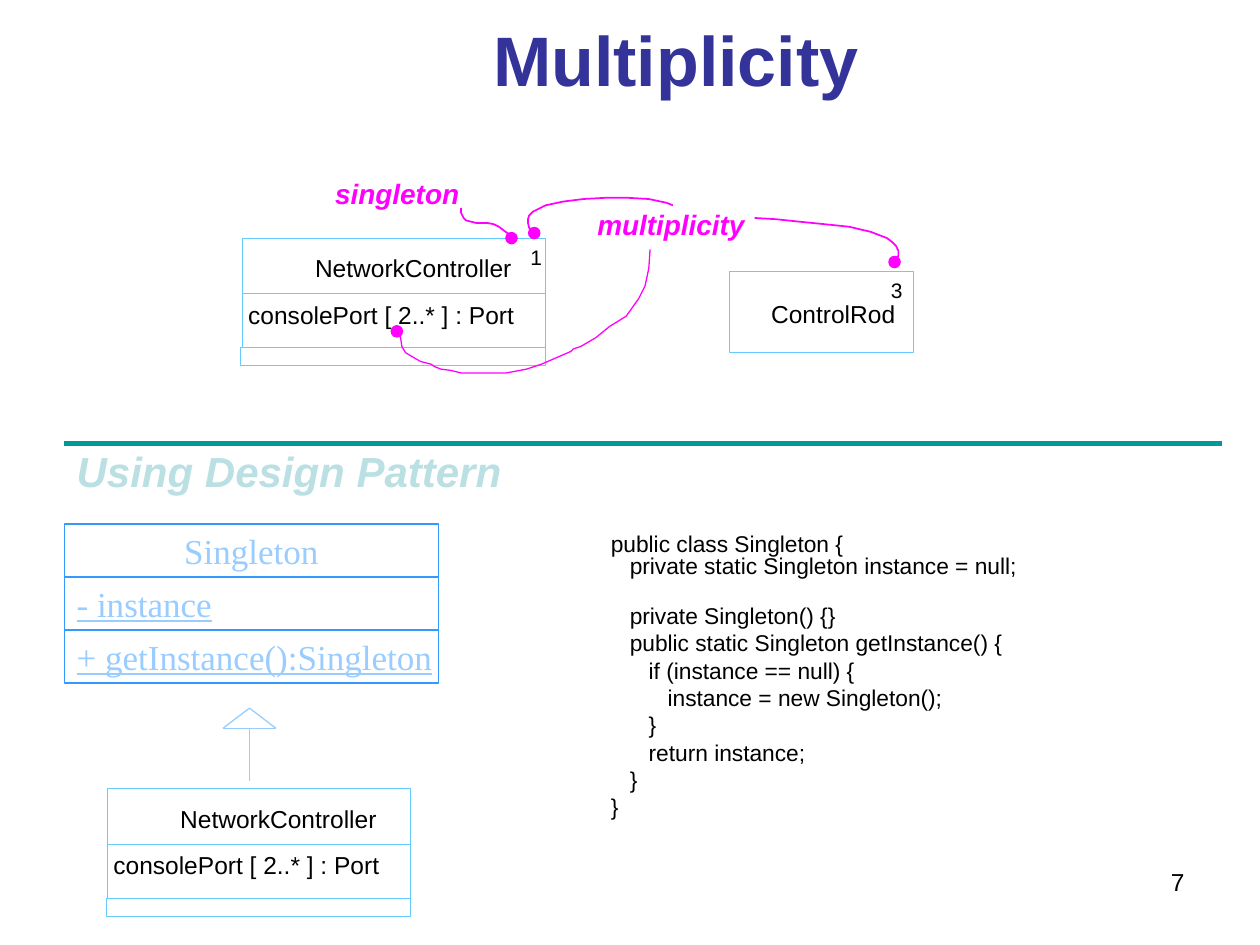
from dataclasses import dataclass
from pptx import Presentation
from pptx.dml.color import RGBColor as Rgb
from pptx.enum.shapes import MSO_CONNECTOR as Conn, MSO_SHAPE as Shape
from pptx.enum.text import MSO_ANCHOR as Anchor, PP_ALIGN as Align
from pptx.oxml.ns import qn
from pptx.util import Inches, Pt
from lxml.etree import SubElement


@dataclass
class Theme:
    sans: str = "Arial"
    serif: str = "Times New Roman"
    black: str = "000000"
    white: str = "FFFFFF"
    title: str = "333399"
    note: str = "FF00FF"
    edge: str = "66CCFF"
    frame: str = "3399FF"
    pale: str = "99CCFF"
    rule: str = "009999"
    head: str = "BBE0E3"
    big: int = 40
    sub: int = 24
    uml: int = 20
    tag: int = 16
    body: int = 14
    code: int = 13
    small: int = 12


theme = Theme()
deck = Presentation()
deck.slide_width, deck.slide_height = Inches(10), Inches(7.5)
slide = deck.slides.add_slide(deck.slide_layouts[5])
shapes = slide.shapes


def write(frame, lines, size, color=theme.black, face=theme.sans, bold=False,
          italic=False, align=Align.LEFT, pad=0, wrap=False):
    frame.word_wrap = wrap
    frame.margin_left = frame.margin_right = Inches(pad)
    frame.margin_top = frame.margin_bottom = Inches(pad / 2)
    for i, line in enumerate(lines):
        para = frame.add_paragraph() if i else frame.paragraphs[0]
        para.text = line
        para.alignment = align
        font = para.font
        font.name, font.size = face, Pt(size)
        font.bold, font.italic = bold, italic
        font.color.rgb = Rgb.from_string(color)
    return frame


def rect(x, y, w, h, edge=theme.edge, width=0.37):
    box = shapes.add_shape(Shape.RECTANGLE, Inches(x), Inches(y), Inches(w), Inches(h))
    box.shadow.inherit = False
    box.fill.solid()
    box.fill.fore_color.rgb = Rgb.from_string(theme.white)
    box.line.color.rgb = Rgb.from_string(edge)
    box.line.width = Pt(width)
    return box


title = shapes.title
title.left, title.top = Inches(1.03), Inches(0.11)
title.width, title.height = Inches(8.67), Inches(0.71)
title.text_frame.vertical_anchor = Anchor.MIDDLE
write(title.text_frame, ["Multiplicity"], theme.big, theme.title, bold=True,
      align=Align.CENTER, pad=0.1, wrap=True)

for x, y in [(1.92, 1.89), (0.85, 6.26)]:
    rect(x - 0.01, y + 0.87, 2.42, 0.14)
    rect(x, y + 0.44, 2.41, 0.43)
    rect(x, y, 2.41, 0.44)
    for label, dx, dy, w in [("NetworkController", 0.58, 0.12, 1.65),
                             ("consolePort [ 2..* ] : Port", 0.05, 0.49, 2.2)]:
        box = shapes.add_textbox(Inches(x + dx), Inches(y + dy), Inches(w), Inches(0.23))
        write(box.text_frame, [label], theme.body)
rect(5.79, 2.15, 1.46, 0.65)

bold = dict(bold=True, italic=True)
for label, x, y, w, h, size, look in [
    ("1", 4.21, 1.94, 0.1, 0.2, theme.small, {}),
    ("3", 7.07, 2.2, 0.1, 0.2, theme.small, {}),
    ("ControlRod", 6.12, 2.37, 1.05, 0.23, theme.body, {}),
    ("singleton", 2.66, 1.4, 1.05, 0.27, theme.tag, dict(color=theme.note, **bold)),
    ("multiplicity", 4.74, 1.65, 1.25, 0.27, theme.tag, dict(color=theme.note, **bold)),
    ("Using Design Pattern", 0.51, 3.49, 3.68, 0.48, theme.sub,
     dict(color=theme.head, pad=0.1, wrap=True, **bold)),
    ("7", 7.17, 6.83, 2.33, 0.52, theme.body,
     dict(align=Align.RIGHT, pad=0.1, wrap=True)),
]:
    box = shapes.add_textbox(Inches(x), Inches(y), Inches(w), Inches(h))
    write(box.text_frame, [label], size, **look)

curves = [
    (1, [(5.99, 1.73), (6.16, 1.74), (6.35, 1.76), (6.55, 1.78), (6.74, 1.8),
         (6.91, 1.84), (7.04, 1.89), (7.08, 1.92), (7.11, 1.95), (7.13, 1.99),
         (7.13, 2.03), (7.1, 2.08)]),
    (1, [(5.34, 1.63), (5.29, 1.61), (5.15, 1.58), (4.98, 1.57), (4.81, 1.57),
         (4.63, 1.58), (4.47, 1.6), (4.33, 1.63), (4.27, 1.66), (4.23, 1.68),
         (4.2, 1.71), (4.19, 1.74), (4.19, 1.77), (4.2, 1.81), (4.24, 1.84)]),
    (1, [(3.66, 1.65), (3.66, 1.69), (3.68, 1.73), (3.7, 1.75), (3.74, 1.76),
         (3.78, 1.77), (3.87, 1.77), (3.92, 1.78), (3.96, 1.8), (4, 1.83),
         (4.04, 1.86), (4.06, 1.89)]),
    (0.75, [(3.16, 2.59), (3.18, 2.68), (3.19, 2.75), (3.22, 2.8), (3.27, 2.83),
            (3.34, 2.87), (3.42, 2.89), (3.45, 2.91), (3.5, 2.93), (3.58, 2.94),
            (3.66, 2.96), (4.02, 2.96), (4.18, 2.93), (4.3, 2.89), (4.53, 2.79),
            (4.55, 2.77), (4.61, 2.75), (4.73, 2.68), (4.84, 2.59), (4.97, 2.51),
            (5.07, 2.37), (5.12, 2.27), (5.15, 2.13), (5.16, 1.98)]),
]
for width, points in curves:
    start, *rest = [(Inches(x), Inches(y)) for x, y in points]
    pen = shapes.build_freeform(*start)
    pen.add_line_segments(rest, close=False)
    curve = pen.convert_to_shape()
    curve.shadow.inherit = False
    curve.fill.background()
    curve.line.color.rgb = Rgb.from_string(theme.note)
    curve.line.width = Pt(width)

for x, y in [(7.05, 2.03), (4.19, 1.8), (4.01, 1.84), (3.1, 2.58)]:
    dot = shapes.add_shape(Shape.OVAL, Inches(x), Inches(y), Inches(0.1), Inches(0.1))
    dot.shadow.inherit = False
    dot.fill.solid()
    dot.fill.fore_color.rgb = Rgb.from_string(theme.note)
    dot.line.fill.background()

for i, label in enumerate(["Singleton", "- instance", "+ getInstance():Singleton"]):
    box = rect(0.51, 4.16 + 0.42 * i, 2.97, 0.42, theme.frame, 0.75)
    box.fill.background()
    box.text_frame.vertical_anchor = Anchor.MIDDLE
    write(box.text_frame, [label], theme.uml, theme.pale, theme.serif,
          align=Align.LEFT if i else Align.CENTER, pad=0.1)
    box.text_frame.paragraphs[0].font.underline = i > 0

for x1, y1, x2, y2, color, width in [
    (0.51, 3.52, 9.7, 3.52, theme.rule, 3),
    (1.98, 6.2, 1.98, 5.78, theme.pale, 0.75),
    (1.77, 5.78, 2.19, 5.78, theme.pale, 0.75),
    (2.19, 5.78, 1.98, 5.62, theme.pale, 0.75),
    (1.77, 5.78, 1.98, 5.62, theme.pale, 0.75),
]:
    line = shapes.add_connector(Conn.STRAIGHT, Inches(x1), Inches(y1), Inches(x2), Inches(y2))
    line.line.color.rgb = Rgb.from_string(color)
    line.line.width = Pt(width)
    SubElement(line._element.spPr, qn("a:effectLst"))

code = [
    "public class Singleton {",
    "   private static Singleton instance = null;",
    "   private Singleton() {}",
    "   public static Singleton getInstance() {",
    "      if (instance == null) {",
    "         instance = new Singleton();",
    "      }",
    "      return instance;",
    "   }",
    "}",
]
box = shapes.add_textbox(Inches(4.75), Inches(4.2), Inches(3.6), Inches(2.36))
frame = write(box.text_frame, code, theme.code, pad=0.1, wrap=True)
for i, para in enumerate(frame.paragraphs):
    para.line_spacing = 0.8 if i < 3 else 1.0
frame.paragraphs[2].space_before = Pt(16)

deck.save("out.pptx")
